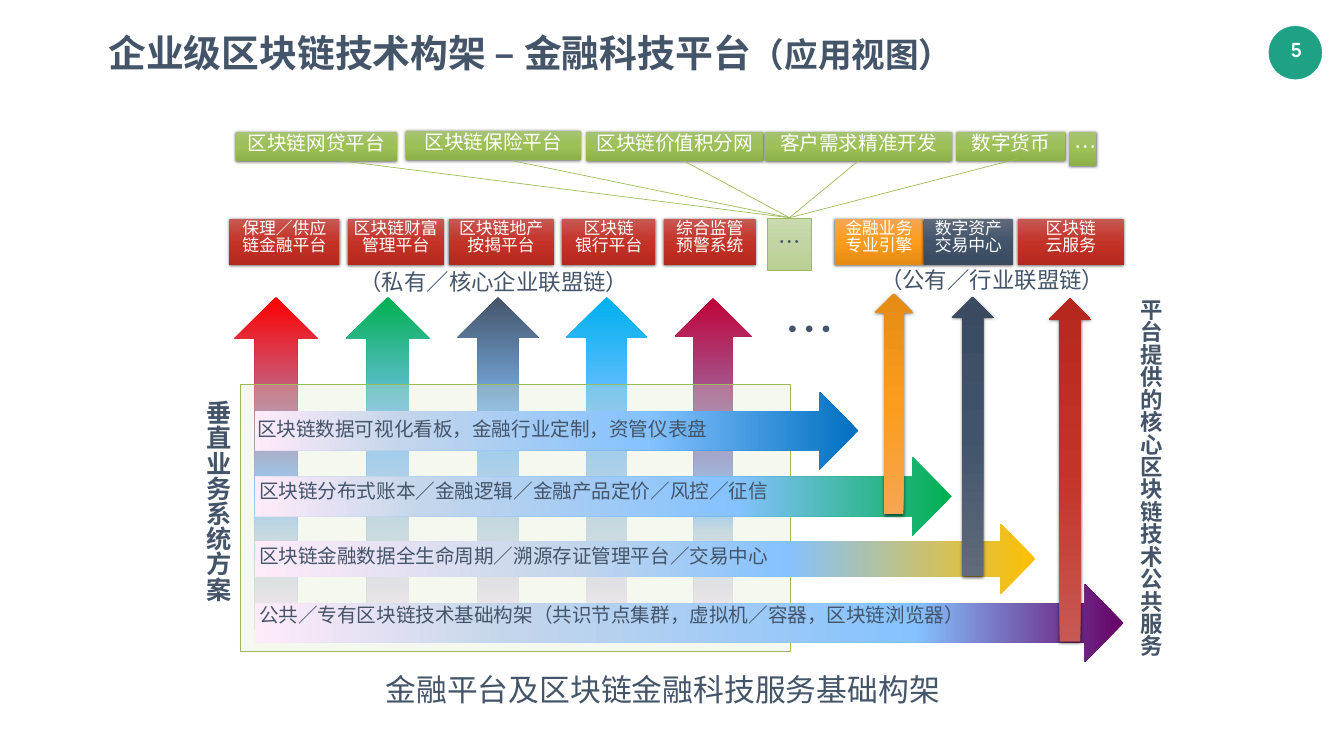
from lxml.etree import SubElement
from pptx import Presentation
from pptx.dml.color import RGBColor
from pptx.enum.shapes import MSO_CONNECTOR, MSO_SHAPE
from pptx.enum.text import MSO_ANCHOR, PP_ALIGN
from pptx.oxml.ns import qn
from pptx.util import Inches, Pt

COLORS = {
    "slate": "445469", "white": "FFFFFF", "badge": "1EA185",
    "outline": "9BBB5C", "panel": "D7E4BE",
    "sky": "85C2FF", "mist": "C4D6EB", "blush": "FFEBFA",
    "crimson": "BE0238", "cyan": "00B0F0", "green": "00B050", "red": "FF0000",
    "purple": "660066", "gold": "FFC000", "blue": "0070C0",
}
SHADES = {
    "brick": ["C75954", "C43328", "B5281D"],
    "orange": ["F6A652", "FC9C1C", "E58C14"],
    "navy": ["606B7C", "42546B", "394A61"],
    "leaf": ["A6C372", "9DC057", "8DB048"],
    "pale": ["CADBB0", "C1D4A3", "B9D092"],
}
SHADES = {name: list(zip((0, 50, 100), shades)) for name, shades in SHADES.items()}
FONT = "Noto Sans CJK SC"


def add_gradient_shape(kind, box, stops, angle, shadow=False, flip=False):
    shape = slide.shapes.add_shape(kind, *map(Inches, box))
    shape.shadow.inherit = False
    shape.line.fill.background()
    shape.fill.gradient()
    shape.fill.gradient_angle = angle
    properties = shape._element.spPr
    stop_list = properties.find(qn("a:gradFill")).find(qn("a:gsLst"))
    for stop in list(stop_list):
        stop_list.remove(stop)
    for position, color in stops:
        stop = SubElement(stop_list, qn("a:gs"), pos=str(position * 1000))
        SubElement(stop, qn("a:srgbClr"), val=color)
    if shadow:
        outer = SubElement(properties.find(qn("a:effectLst")), qn("a:outerShdw"),
                           blurRad=str(Pt(4.5)), dist=str(Pt(1.5)), dir="5400000", rotWithShape="0")
        black = SubElement(outer, qn("a:srgbClr"), val="000000")
        SubElement(black, qn("a:alpha"), val="63000")
    if flip:
        properties.find(qn("a:xfrm")).set("flipV", "1")
    return shape


def write(shape, text, size, color="slate", align=PP_ALIGN.CENTER, anchor=MSO_ANCHOR.TOP, bold=False, font=FONT):
    frame = shape.text_frame
    frame.word_wrap = True
    frame.vertical_anchor = anchor
    frame.text = text
    for paragraph in frame.paragraphs:
        paragraph.alignment = align
        paragraph.line_spacing = 0.83
        paragraph.font.size = Pt(size)
        paragraph.font.bold = bold
        paragraph.font.name = font
        paragraph.font.color.rgb = RGBColor.from_string(COLORS[color])
        for run in paragraph.runs:
            SubElement(run._r.get_or_add_rPr(), qn("a:ea"), typeface=font)
    return frame


presentation = Presentation()
presentation.slide_width = Inches(26.66)
presentation.slide_height = Inches(15)
slide = presentation.slides.add_slide(presentation.slide_layouts[6])

badge = slide.shapes.add_shape(MSO_SHAPE.OVAL, Inches(25.17), Inches(0.52), Inches(1.05), Inches(1.05))
badge.shadow.inherit = False
badge.fill.solid()
badge.fill.fore_color.rgb = RGBColor.from_string(COLORS["badge"])
badge.line.color.rgb = RGBColor.from_string(COLORS["badge"])
badge.line.width = Pt(0.5)
page_number = slide.shapes.add_textbox(Inches(25.23), Inches(0.66), Inches(0.97), Inches(0.67))
frame = write(page_number, "5", 28, "white", bold=True, font="Manrope")
frame.margin_left = frame.margin_right = Inches(0.2)
frame.margin_top = frame.margin_bottom = Inches(0.1)
frame.paragraphs[0].line_spacing = 1

vertical_arrows = [
    (13.38, 5.91, 1.53, "crimson", 63, 70),
    (11.23, 5.89, 1.61, "cyan", 40, 70),
    (9.07, 5.89, 1.62, "slate", 40, 70),
    (6.86, 5.89, 1.67, "green", 40, 70),
    (4.64, 5.89, 1.67, "red", 57, 72),
]
for left, top, width, color, sky, mist in vertical_arrows:
    stops = [(0, COLORS[color]), (sky, COLORS["sky"]), (mist, COLORS["mist"]), (100, COLORS["blush"])]
    add_gradient_shape(MSO_SHAPE.DOWN_ARROW, (left, top, width, 6.61), stops, 90, flip=True)

panel = slide.shapes.add_shape(MSO_SHAPE.RECTANGLE, Inches(4.76), Inches(7.62), Inches(10.91), Inches(5.31))
panel.shadow.inherit = False
panel.fill.solid()
panel.fill.fore_color.rgb = RGBColor.from_string(COLORS["panel"])
panel_color = panel._element.spPr.find(qn("a:solidFill")).find(qn("a:srgbClr"))
SubElement(panel_color, qn("a:alpha"), val="26000")
panel.line.color.rgb = RGBColor.from_string(COLORS["outline"])
panel.line.width = Pt(1)

horizontal_arrows = [
    (11.59, 17.23, 1.54, "purple", 24, 71),
    (10.39, 15.48, 1.4, "gold", 32, 60),
    (9.07, 13.82, 1.56, "green", 31, 76),
    (7.77, 11.97, 1.55, "blue", 35, 76),
]
for top, width, height, color, sky, mist in horizontal_arrows:
    stops = [(0, COLORS[color]), (sky, COLORS["sky"]), (mist, COLORS["mist"]), (100, COLORS["blush"])]
    add_gradient_shape(MSO_SHAPE.RIGHT_ARROW, (5.06, top, width, height), stops, 180)

service_arrows = [
    ((18.88, 5.89, 0.83, 5.54), "navy"),
    ((20.81, 5.92, 0.83, 6.81), "brick"),
    ((17.35, 5.83, 0.76, 4.37), "orange"),
]
for box, shade in service_arrows:
    add_gradient_shape(MSO_SHAPE.DOWN_ARROW, box, SHADES[shade], 270, shadow=True, flip=True)

systems = [
    (4.55, 2.18, "保理／供应链金融平台", "brick"),
    (6.9, 1.9, "区块链财富管理平台", "brick"),
    (8.9, 2.08, "区块链地产按揭平台", "brick"),
    (11.15, 1.85, "区块链\n银行平台", "brick"),
    (13.17, 1.82, "综合监管预警系统", "brick"),
    (16.56, 1.75, "金融业务专业引擎", "orange"),
    (18.33, 1.76, "数字资产交易中心", "navy"),
    (20.19, 2.1, "区块链\n云服务", "brick"),
]
for left, width, text, shade in systems:
    shape = add_gradient_shape(MSO_SHAPE.RECTANGLE, (left, 4.34, width, 0.91), SHADES[shade], 270, shadow=True)
    write(shape, text, 24, "white")

more_systems = add_gradient_shape(MSO_SHAPE.RECTANGLE, (15.22, 4.32, 0.88, 1.05), SHADES["pale"], 270)
more_systems.line.color.rgb = RGBColor.from_string(COLORS["outline"])
more_systems.line.width = Pt(0.5)
write(more_systems, "…", 32, anchor=MSO_ANCHOR.MIDDLE)

applications = [
    (4.68, 2.62, 3.19, "区块链网贷平台"),
    (11.63, 2.62, 3.51, "区块链价值积分网"),
    (15.18, 2.62, 3.7, "客户需求精准开发"),
    (8.05, 2.6, 3.47, "区块链保险平台"),
    (18.97, 2.62, 2.16, "数字货币"),
]
for left, top, width, text in applications:
    shape = add_gradient_shape(MSO_SHAPE.RECTANGLE, (left, top, width, 0.57), SHADES["leaf"], 270, shadow=True)
    write(shape, text, 28, "white")
more_applications = add_gradient_shape(
    MSO_SHAPE.RECTANGLE, (21.21, 2.62, 0.54, 0.67), SHADES["leaf"], 270, shadow=True)
write(more_applications, "…", 32, "white", anchor=MSO_ANCHOR.MIDDLE)

for x, y in [(6.76, 3.19), (10.17, 3.19), (13.56, 3.19), (17.03, 3.19), (20.19, 3.15)]:
    connector = slide.shapes.add_connector(
        MSO_CONNECTOR.STRAIGHT, Inches(x), Inches(y), Inches(15.66), Inches(4.32))
    connector.line.color.rgb = RGBColor.from_string(COLORS["outline"])
    connector.line.width = Pt(1)
    SubElement(connector._element.spPr, qn("a:effectLst"))

labels = [
    ((4.55, 13.38, 17.2, 0.84), "金融平台及区块链金融科技服务基础构架", 44, PP_ALIGN.CENTER),
    ((15.23, 6.06, 1.68, 1.31), "…", 72, PP_ALIGN.CENTER),
    ((5, 8.3, 9.16, 0.57), "区块链数据可视化看板，金融行业定制，资管仪表盘", 28, PP_ALIGN.LEFT),
    ((5.04, 9.53, 10.77, 0.57), "区块链分布式账本／金融逻辑／金融产品定价／风控／征信", 28, PP_ALIGN.LEFT),
    ((5.04, 10.82, 11.06, 0.57), "区块链金融数据全生命周期／溯源存证管理平台／交易中心", 28, PP_ALIGN.LEFT),
    ((5.04, 11.99, 14.33, 0.57), "公共／专有区块链技术基础构架（共识节点集群，虚拟机／容器，区块链浏览器）", 28, PP_ALIGN.LEFT),
    ((17.36, 5.32, 4.69, 0.64), "（公有／行业联盟链）", 32, PP_ALIGN.LEFT),
    ((7.03, 5.36, 5.59, 0.64), "（私有／核心企业联盟链）", 32, PP_ALIGN.LEFT),
]
for box, text, size, align in labels:
    write(slide.shapes.add_textbox(*map(Inches, box)), text, size, align=align)

side_titles = [
    ((3.76, 7.85, 0.81, 4.72), "垂直业务系统方案", 36),
    ((22.32, 5.83, 0.74, 7.32), "平台提供的核心区块链技术公共服务", 32),
]
for box, text, size in side_titles:
    frame = write(slide.shapes.add_textbox(*map(Inches, box)), text, size, align=PP_ALIGN.LEFT, bold=True)
    frame._txBody.bodyPr.set("vert", "eaVert")

title = slide.shapes.add_textbox(Inches(2.05), Inches(0.7), Inches(20.07), Inches(1.01))
frame = write(title, "企业级区块链技术构架 – 金融科技平台", 54, align=PP_ALIGN.LEFT, bold=True)
view = frame.paragraphs[0].add_run()
view.text = "（应用视图）"
view.font.size = Pt(48)
SubElement(view._r.get_or_add_rPr(), qn("a:ea"), typeface=FONT)

presentation.save("out.pptx")
